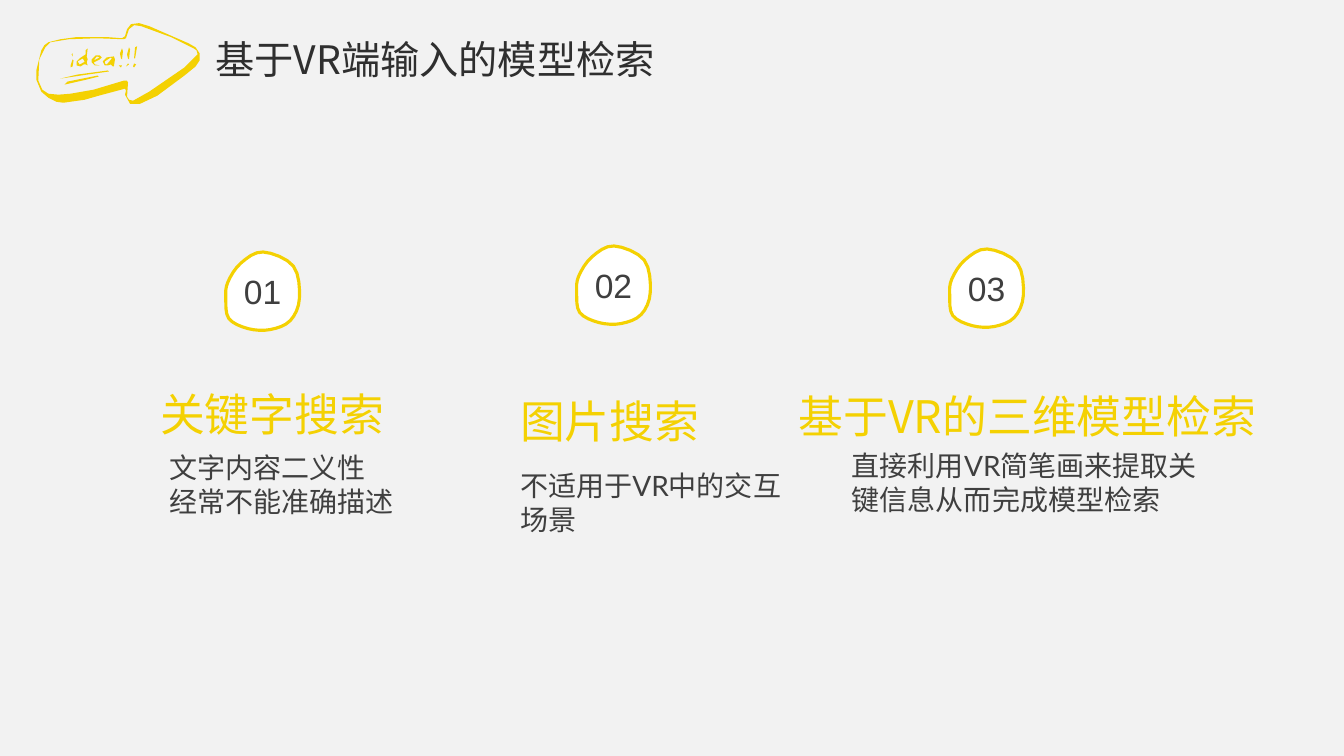
from pptx import Presentation
from pptx import util as u
from pptx.dml.color import RGBColor
from pptx.enum import text
from pptx.oxml.ns import qn
from lxml import etree

PX = 9144
COLORS = {"paper": "F2F2F2", "white": "FFFFFF", "yellow": "F4D102",
          "title": "2F2F2F", "body": "3F3F3F"}
CJK = "Noto Sans CJK JP"

BADGE = [(2, 30), (15, 11), (37, 0), (67, 14), (73, 46),
         (64, 68), (44, 77), (22, 76), (3, 66), (0, 46)]
ARROW_RIM = [
    (124, 88), (98, 95), (84, 99), (63, 102), (56, 101), (48, 97),
    (41, 91), (36, 79), (36, 70), (41, 50), (44, 45), (48, 42), (60, 39),
    (75, 37), (108, 37), (121, 38), (124, 36), (126, 29), (130, 24),
    (138, 23), (148, 26), (187, 43), (194, 47), (198, 53),
    (198, 60), (194, 66), (183, 75), (156, 95), (139, 103),
    (129, 103), (124, 94), (125, 90)]
ARROW_FACE = [
    (96, 38), (68, 39), (50, 42), (45, 47), (39, 59),
    (38, 80), (42, 89), (48, 93), (58, 94), (70, 93), (93, 89), (123, 80),
    (126, 80), (127, 82), (126, 96), (128, 99), (132, 100),
    (148, 91), (183, 67), (193, 57), (196, 54),
    (195, 50), (192, 48), (170, 37), (140, 26), (133, 25),
    (128, 29), (125, 38), (123, 39)]
LETTERING = [
    [(72, 56), (71, 54), (72, 53)],
    [(73, 60), (72, 66), (70, 67), (70, 65), (72, 59)],
    [(87, 48), (86, 56), (87, 59), (86, 62), (87, 65), (85, 64), (83, 64),
     (80, 66), (76, 65), (76, 61), (79, 58), (85, 54), (85, 50)],
    [(84, 61), (82, 58), (77, 61), (79, 64), (83, 62)],
    [(93, 62), (94, 64), (99, 65), (94, 65), (91, 62), (91, 59),
     (95, 55), (99, 55), (101, 57), (99, 59)],
    [(93, 60), (97, 58), (99, 57), (96, 56)],
    [(110, 64), (107, 65), (104, 65), (102, 61), (106, 57), (113, 56),
     (114, 59), (113, 66), (112, 66)],
    [(111, 58), (110, 57), (104, 61), (104, 63), (106, 64)],
    [(119, 53), (121, 48), (122, 51), (121, 59), (120, 58)],
    [(120, 67), (118, 65), (121, 65)],
    [(126, 54), (128, 47), (129, 49), (128, 59), (127, 58)],
    [(125, 66), (127, 63), (128, 64)],
    [(136, 46), (134, 58), (133, 58), (134, 47)],
    [(135, 64), (133, 67), (132, 66), (133, 63)]]
UNDERLINES = [
    [(64, 84), (67, 81), (97, 75), (98, 76), (86, 79)],
    [(108, 71), (87, 74), (60, 78), (77, 74), (107, 70)]]

STEPS = [
    ("01", (224, 250), "关键字搜索", (149, 379, 337, 64),
     ["文字内容二义性", "经常不能准确描述"], (158, 442, 367, 77)),
    ("02", (572, 244), "图片搜索", (506, 386, 257, 64),
     ["不适用于VR中的交互场景"], (506, 460, 280, 77)),
    ("03", (942, 247), "基于VR的三维模型检索", (782, 381, 517, 64),
     ["直接利用VR简笔画来提取关键信息从而完成模型检索"], (835, 440, 383, 77))]


def rgb(name):
    """Return the named palette colour."""
    return RGBColor.from_string(COLORS[name])


def smooth(anchors, steps):
    """Return points of a closed smooth curve through the anchors."""
    points = []
    count = len(anchors)
    for index in range(count):
        around = [anchors[(index + offset) % count] for offset in (-1, 0, 1, 2)]
        for step in range(steps):
            t = step / steps
            points.append(tuple(
                b + (c - a) * t / 2 + (a - 2.5 * b + 2 * c - d / 2) * t ** 2
                + (1.5 * (b - c) + (d - a) / 2) * t ** 3
                for a, b, c, d in zip(*around)))
    return points


def add_outline(slide, contours, fill, line=None):
    """Add one filled freeform made of closed px contours."""
    builder = None
    for contour in contours:
        points = [(x * PX, y * PX) for x, y in contour]
        if builder is None:
            builder = slide.shapes.build_freeform(*points[0])
        else:
            builder.move_to(*points[0])
        builder.add_line_segments(points[1:], close=True)
    shape = builder.convert_to_shape()
    shape.shadow.inherit = False
    shape.fill.solid()
    shape.fill.fore_color.rgb = rgb(fill)
    if line:
        shape.line.color.rgb = rgb(line)
        shape.line.width = u.Pt(2.25)
    else:
        shape.line.fill.background()
    return shape


def write(shape, lines, size, color, font=CJK, latin=None, align=None):
    """Write lines as paragraphs, with VR in the latin font when one is given."""
    for index, line in enumerate(lines):
        frame = shape.text_frame
        paragraph = frame.add_paragraph() if index else frame.paragraphs[0]
        paragraph.alignment = align
        for piece in filter(None, line.partition("VR") if latin else [line]):
            run = paragraph.add_run()
            run.text = piece
            run.font.size = u.Pt(size)
            run.font.color.rgb = rgb(color)
            run.font.name = latin if latin and piece == "VR" else font
            etree.SubElement(run.font._element, qn("a:ea")).set("typeface", font)


def add_text(parent, box, lines, size, color, **style):
    """Add a wrapping text box at a px box."""
    shape = parent.shapes.add_textbox(*(length * PX for length in box))
    shape.text_frame.word_wrap = True
    shape.text_frame.auto_size = text.MSO_AUTO_SIZE.SHAPE_TO_FIT_TEXT
    write(shape, lines, size, color, **style)


def add_badge(slide, number, left, top):
    """Add a hand-drawn numbered badge."""
    contour = [(left + x, top + y) for x, y in smooth(BADGE, 4)]
    badge = add_outline(slide, [contour], "white", line="yellow")
    badge.text_frame.vertical_anchor = text.MSO_ANCHOR.MIDDLE
    write(badge, [number], 24, "body", font="Arial", align=text.PP_ALIGN.CENTER)


def main():
    """Build the slide and save it."""
    presentation = Presentation()
    presentation.slide_width = u.Emu(1333 * PX)
    presentation.slide_height = u.Emu(750 * PX)
    slide = presentation.slides.add_slide(presentation.slide_layouts[6])
    slide.background.fill.solid()
    slide.background.fill.fore_color.rgb = rgb("paper")
    for number, corner, *_ in STEPS:
        add_badge(slide, number, *corner)
    for _, _, heading, heading_box, lines, body_box in reversed(STEPS):
        group = slide.shapes.add_group_shape()
        add_text(group, heading_box, [heading], 32, "yellow")
        add_text(group, body_box, lines, 20, "body", latin="Lato")
    add_outline(slide, [ARROW_RIM, ARROW_FACE, *LETTERING, *UNDERLINES], "yellow")
    add_text(slide, (204, 30, 553, 57), ["基于VR端输入的模型检索"], 28, "title")
    presentation.save("out.pptx")


if __name__ == "__main__":
    main()
